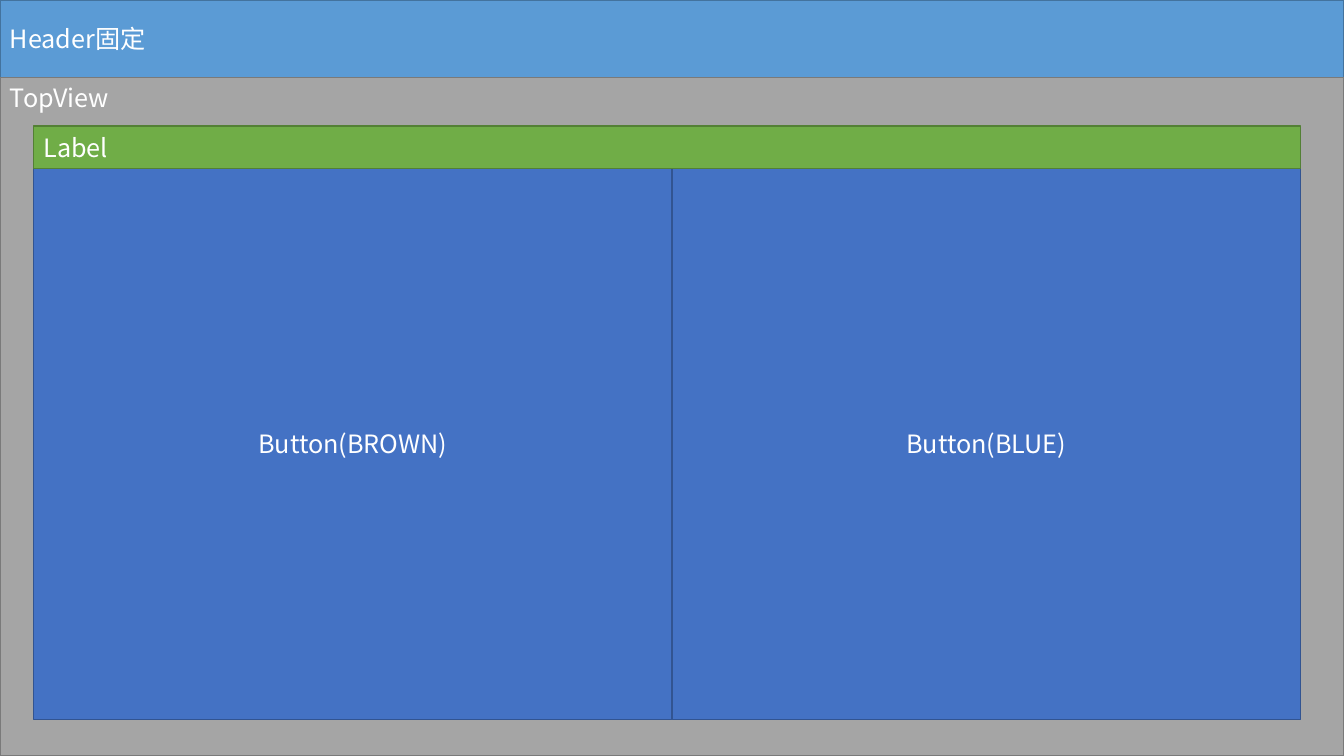
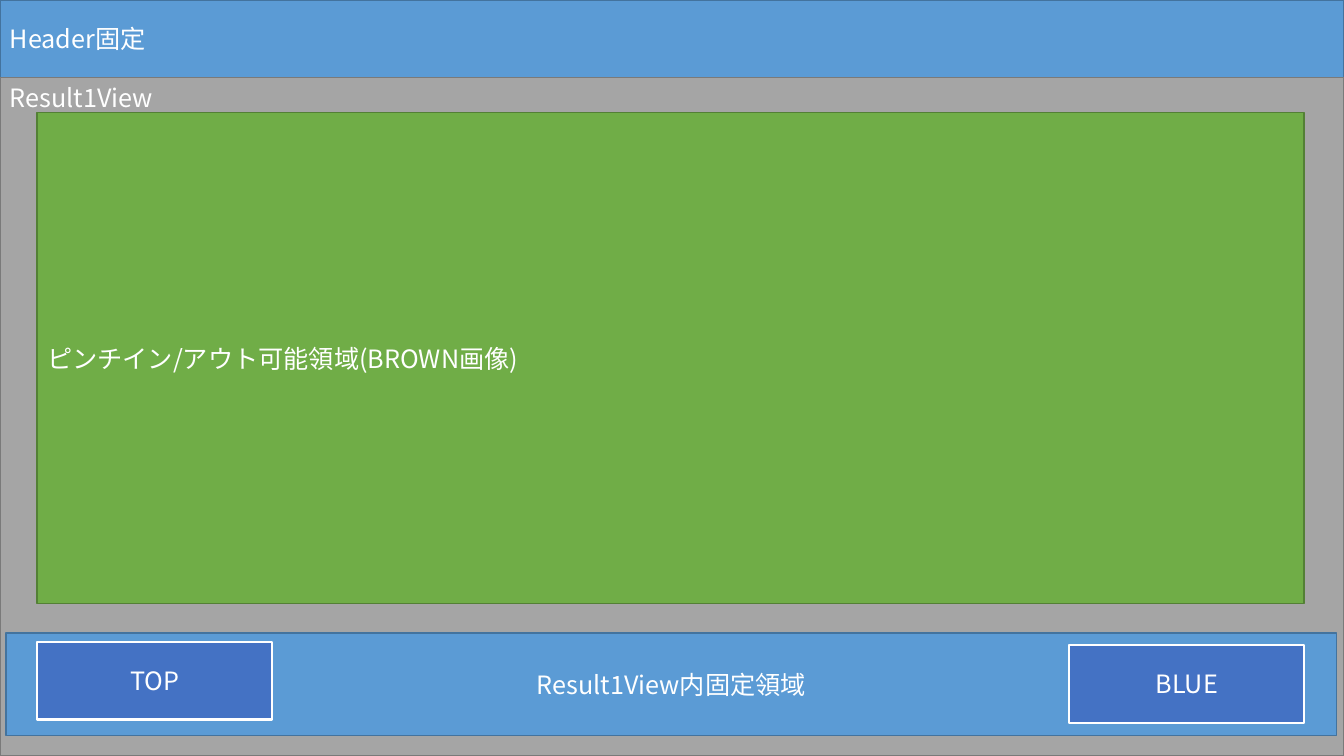
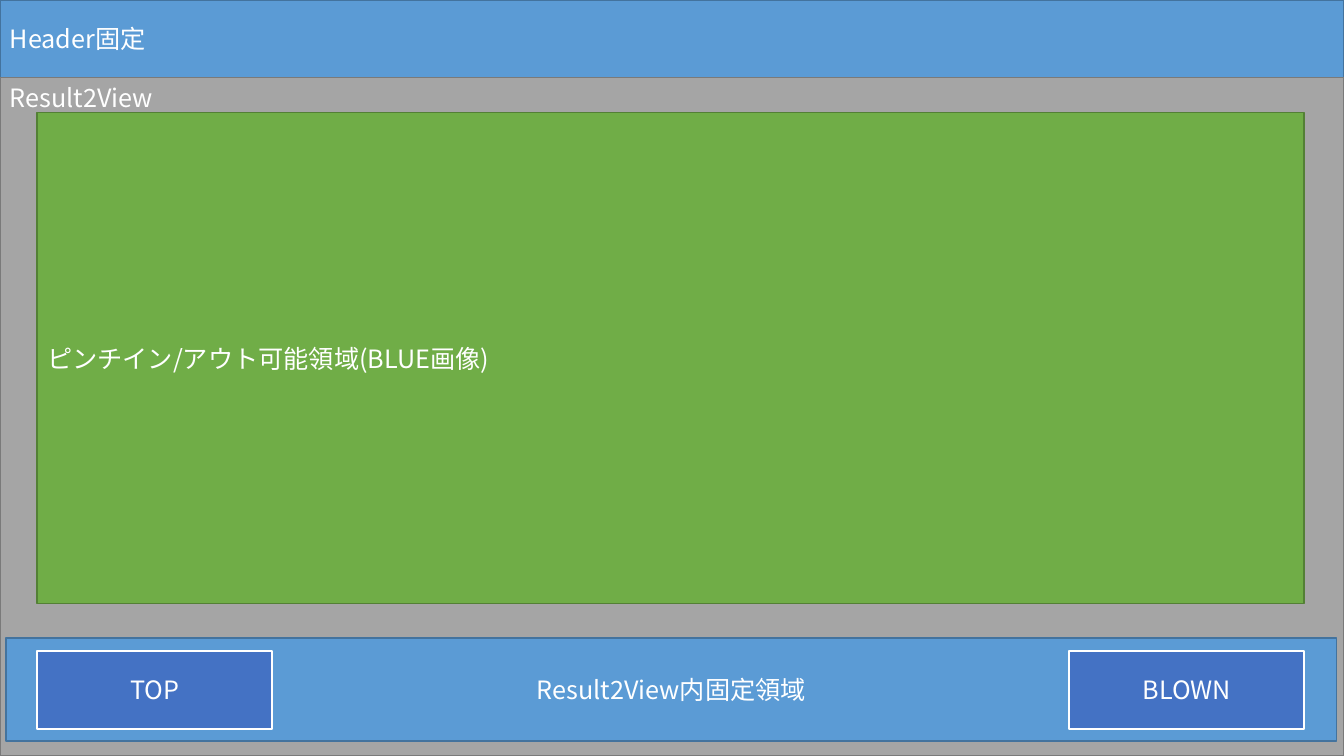
from pptx import Presentation
from pptx.dml.color import RGBColor
from pptx.enum.shapes import MSO_SHAPE
from pptx.enum.text import MSO_ANCHOR, PP_ALIGN
from pptx.oxml.ns import qn
from pptx.util import Pt
from lxml.etree import SubElement

# Shared look: (fill, line, line width)
FONT = "Noto Sans CJK JP"
WHITE = "FFFFFF"
BAND = ("5B9BD5", "43739E", 1)
VIEW = ("A5A5A5", "7A7A7A", 1)
PANEL = ("70AD47", "538035", 1)
CHOICE = ("4472C4", "325491", 1)
BUTTON = ("4472C4", WHITE, 1.5)

# Shared layout, in points
WIDE, HIGH = 960, 540
HEAD = 55.4
INNER = 905
LEFT = 26.6
BTN_W, BTN_H = 167.8, 55.4


def color(code):
    return RGBColor.from_string(code)


def box(slide, text, area, style, align=PP_ALIGN.CENTER,
        anchor=MSO_ANCHOR.MIDDLE):
    fill, line, width = style
    shape = slide.shapes.add_shape(MSO_SHAPE.RECTANGLE, *map(Pt, area))
    shape.shadow.inherit = False
    shape.fill.solid()
    shape.fill.fore_color.rgb = color(fill)
    shape.line.color.rgb = color(line)
    shape.line.width = Pt(width)
    frame = shape.text_frame
    frame.word_wrap = True
    frame.vertical_anchor = anchor
    para = frame.paragraphs[0]
    para.alignment = align
    run = para.add_run()
    run.text = text
    run.font.size = Pt(18)
    run.font.name = FONT
    run.font.color.rgb = color(WHITE)
    # East Asian glyphs take their font from a separate element
    SubElement(run.font._element, qn("a:ea")).set("typeface", FONT)


def screen(deck, name):
    """Add a slide with the fixed header and the named view below it."""
    slide = deck.slides.add_slide(deck.slide_layouts[6])
    box(slide, "Header固定", (0, 0, WIDE, HEAD), BAND, PP_ALIGN.LEFT)
    box(slide, name, (0, HEAD, WIDE, HIGH - HEAD), VIEW, PP_ALIGN.LEFT,
        MSO_ANCHOR.TOP)
    return slide


def top(deck):
    slide = screen(deck, "TopView")
    left, label_y, label_h = 24, 90, 30.2
    mid = WIDE / 2
    y, high = label_y + label_h, 393.8
    # Two choices that meet at the slide's centre
    box(slide, "Button(BROWN)", (left, y, mid - left, high), CHOICE)
    box(slide, "Button(BLUE)", (mid, y, left + INNER - mid, high), CHOICE)
    box(slide, "Label", (left, label_y, INNER, label_h), PANEL, PP_ALIGN.LEFT)


def result(deck, name, image, other, bar_y, top_y, other_y):
    slide = screen(deck, name)
    # Zoom area
    box(slide, f"ピンチイン/アウト可能領域({image}画像)",
        (LEFT, 80.6, INNER, 350.6), PANEL, PP_ALIGN.LEFT)
    # Fixed bar with its two buttons
    box(slide, f"{name}内固定領域", (4.3, bar_y, 950.4, 73.4), BAND)
    right = LEFT + INNER - BTN_W
    for text, x, y in (("TOP", LEFT, top_y), (other, right, other_y)):
        box(slide, text, (x, y, BTN_W, BTN_H), BUTTON)


def main():
    deck = Presentation()
    deck.slide_width, deck.slide_height = Pt(WIDE), Pt(HIGH)
    top(deck)
    result(deck, "Result1View", "BROWN", "BLUE", 452.2, 458.6, 460.8)
    result(deck, "Result2View", "BLUE", "BLOWN", 455.8, 465.1, 465.1)
    deck.save("out.pptx")


main()
